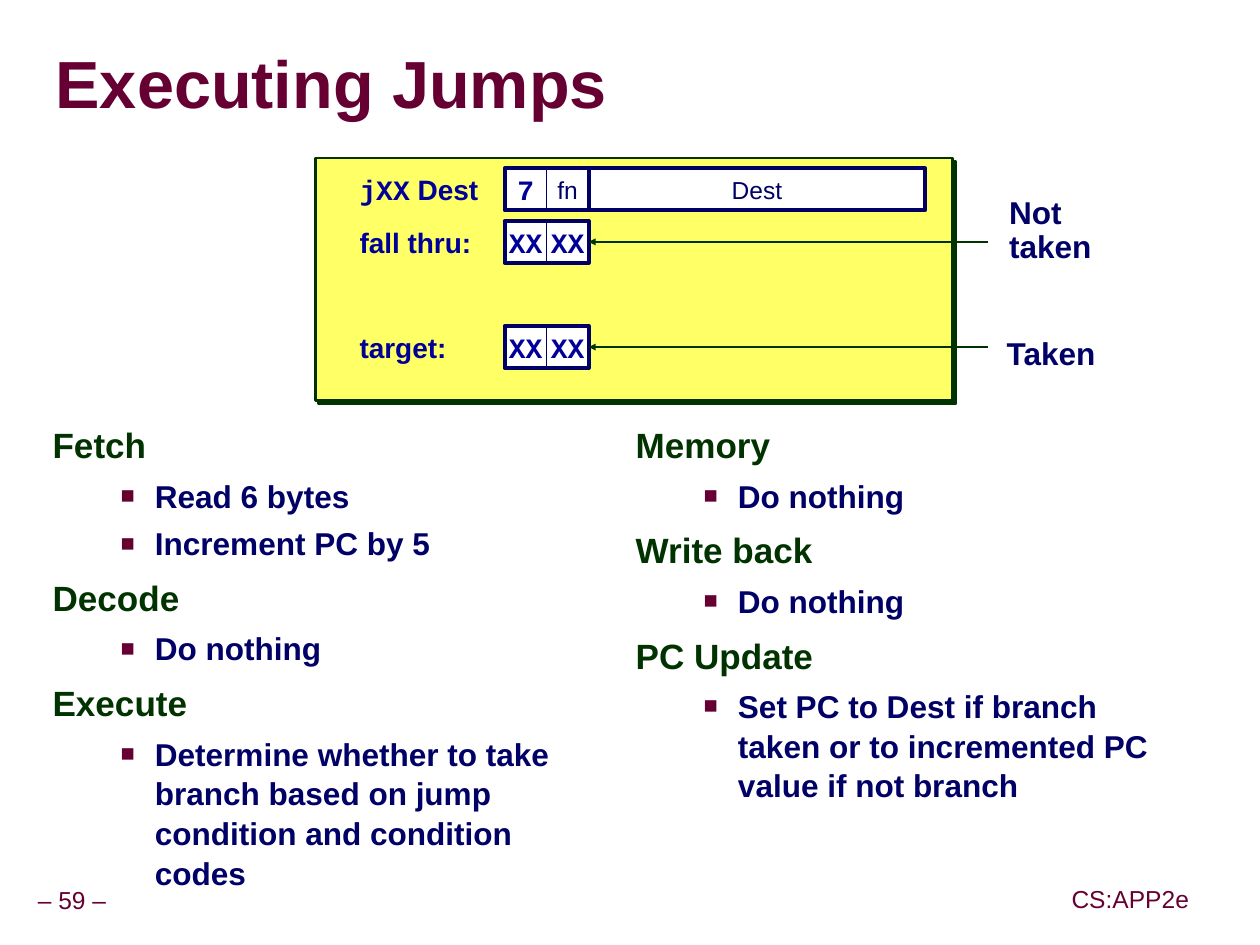
from lxml import etree
from pptx import Presentation
from pptx import util as u
from pptx.dml.color import RGBColor
from pptx.enum import shapes, text
from pptx.oxml import parse_xml
from pptx.oxml.ns import nsdecls, qn

HUES = {"wine": "660033", "green": "003300", "navy": "000066",
        "blue": "000099", "yellow": "FFFF66", "white": "FFFFFF",
        "gray": "969696"}
ALIGN = {"left": text.PP_ALIGN.LEFT, "center": text.PP_ALIGN.CENTER}
CELL = 2.54 / 3  # side of one byte box, in cm
MONO = "Courier New"


def rgb(hue):
    return RGBColor.from_string(HUES[hue])


def shade(hue, dist):
    """Effect list with a hard shadow to the lower right, dist in points."""
    return parse_xml(
        f'<a:effectLst {nsdecls("a")}><a:outerShdw dist="{u.Pt(dist)}" '
        f'dir="2700000" algn="ctr" rotWithShape="0">'
        f'<a:srgbClr val="{HUES[hue]}"/></a:outerShdw></a:effectLst>')


def write(para, words, size=18, hue="navy", bold=True, font="Arial",
          align="left", lead=1.0, before=0):
    para.alignment = ALIGN[align]
    para.line_spacing = lead
    para.space_before = u.Pt(before)
    run = para.add_run()
    run.text = words
    run.font.size, run.font.bold, run.font.name = u.Pt(size), bold, font
    run.font.color.rgb = rgb(hue)
    return run


def mark(para):
    """Give a paragraph a square bullet and a hanging indent."""
    props = para._p.get_or_add_pPr()
    props.set("marL", str(u.Cm(2.06)))
    props.set("indent", str(u.Cm(-0.69)))
    color = etree.SubElement(props, qn("a:buClr"))
    etree.SubElement(color, qn("a:srgbClr"), val=HUES["wine"])
    etree.SubElement(props, qn("a:buSzPct"), val="75000")
    etree.SubElement(props, qn("a:buFont"), typeface="Arial")
    etree.SubElement(props, qn("a:buChar"), char="■")


class Deck:
    def __init__(self, wide, high):
        self.file = Presentation()
        self.file.slide_width, self.file.slide_height = u.Cm(wide), u.Cm(high)
        self.slide = self.file.slides.add_slide(self.file.slide_layouts[6])

    def frame(self, shape, inset, wrap=False, anchor=text.MSO_ANCHOR.MIDDLE):
        body = shape.text_frame
        body.word_wrap, body.vertical_anchor = wrap, anchor
        body.margin_left = body.margin_right = u.Cm(inset)
        body.margin_top = body.margin_bottom = u.Cm(min(inset, 0.13))
        return body

    def label(self, x, y, w, h, words, inset=0.13, **style):
        box = self.slide.shapes.add_textbox(*map(u.Cm, (x, y, w, h)))
        para = self.frame(box, inset).paragraphs[0]
        return para, write(para, words, **style)

    def box(self, x, y, w, h, fill="white", line="navy", weight=2.25,
            words="", **style):
        rect = self.slide.shapes.add_shape(
            shapes.MSO_SHAPE.RECTANGLE, *map(u.Cm, (x, y, w, h)))
        rect.shadow.inherit = False
        if fill:
            rect.fill.solid()
            rect.fill.fore_color.rgb = rgb(fill)
        else:
            rect.fill.background()
        rect.line.color.rgb = rgb(line)
        rect.line.width = u.Pt(weight)
        if words:
            write(self.frame(rect, 0).paragraphs[0], words,
                  align="center", **style)
        return rect

    def pair(self, x, y, cells):
        """Draw two byte boxes with one heavy outline around them."""
        for i, (words, style) in enumerate(cells):
            self.box(x + i * CELL, y, CELL, CELL, weight=0.5,
                     words=words, **style)
        self.box(x, y, 2 * CELL, CELL, fill=None)

    def arrow(self, start, end, y):
        line = self.slide.shapes.add_connector(
            shapes.MSO_CONNECTOR.STRAIGHT, *map(u.Cm, (start, y, end, y)))
        line.line.color.rgb = rgb("green")
        line.line.width = u.Pt(1.5)
        etree.SubElement(line.line._get_or_add_ln(), qn("a:tailEnd"),
                         type="triangle", w="sm", len="sm")
        etree.SubElement(line._element.spPr, qn("a:effectLst"))

    def stages(self, x, items):
        """Write a column of stage names, each with its bullets."""
        box = self.slide.shapes.add_textbox(
            *map(u.Cm, (x, 8.46, 11.3, 9.4)))
        body = self.frame(box, 0.25, True, text.MSO_ANCHOR.TOP)
        para = body.paragraphs[0]
        for name, steps in items:
            para = para or body.add_paragraph()
            write(para, name, size=20, hue="green", lead=0.95, before=10)
            for step in steps:
                para = body.add_paragraph()
                write(para, step, lead=1.05, before=4.5)
                mark(para)
            para = None


def main():
    deck = Deck(25.37, 19.02)
    foot = dict(size=14, hue="wine", bold=False, align="center", lead=0.9)
    deck.label(0.61, 17.75, 1.68, 0.79, "– 59 –", **foot)
    deck.label(21.44, 17.73, 2.64, 0.79, "CS:APP2e", **foot)

    _, title = deck.label(1.12, 0.69, 24.18, 2.16, "Executing Jumps",
                          inset=0, size=38, hue="wine", lead=0.87)
    title.font._element.find(qn("a:solidFill")).addnext(shade("gray", 2.8))

    deck.stages(0.81, [
        ("Fetch", ["Read 6 bytes", "Increment PC by 5"]),
        ("Decode", ["Do nothing"]),
        ("Execute", ["Determine whether to take branch based on jump "
                     "condition and condition codes"])])
    deck.stages(12.55, [
        ("Memory", ["Do nothing"]),
        ("Write back", ["Do nothing"]),
        ("PC Update", ["Set PC to Dest if branch taken or to incremented "
                       "PC value if not branch"])])

    panel = deck.box(6.35, 3.18, 12.83, 4.88, "yellow", "green", 1.5)
    props = panel._element.spPr
    props.replace(props.find(qn("a:effectLst")), shade("green", 2.8))

    code = dict(size=16, hue="blue", font=MONO)
    plain = dict(size=14, bold=False)
    left, top = 12 * CELL, 4 * CELL
    fall, goal = top + 1.25 * CELL, top + 3.75 * CELL
    tag = dict(inset=0.25, size=16, hue="blue")

    para, _ = deck.label(6.99, top, 3.1, CELL, "jXX", font=MONO, **tag)
    write(para, " Dest", size=16, hue="blue")
    deck.pair(left, top, [("7", code), ("fn", plain)])
    deck.box(left + 2 * CELL, top, 8 * CELL, CELL, words="Dest", **plain)

    for y, name in ((fall, "fall thru:"), (goal, "target:")):
        deck.label(6.99, y, 3.1, CELL, name, **tag)
        deck.pair(left, y, [("XX", code)] * 2)
        deck.arrow(19.9, left + 2 * CELL, y + CELL / 2)

    deck.label(20.19, 4.19, 3.15, 0.94, "Not taken", lead=0.9)
    deck.label(20.14, 6.68, 2.08, 0.94, "Taken", lead=0.9)
    deck.file.save("out.pptx")


if __name__ == "__main__":
    main()
